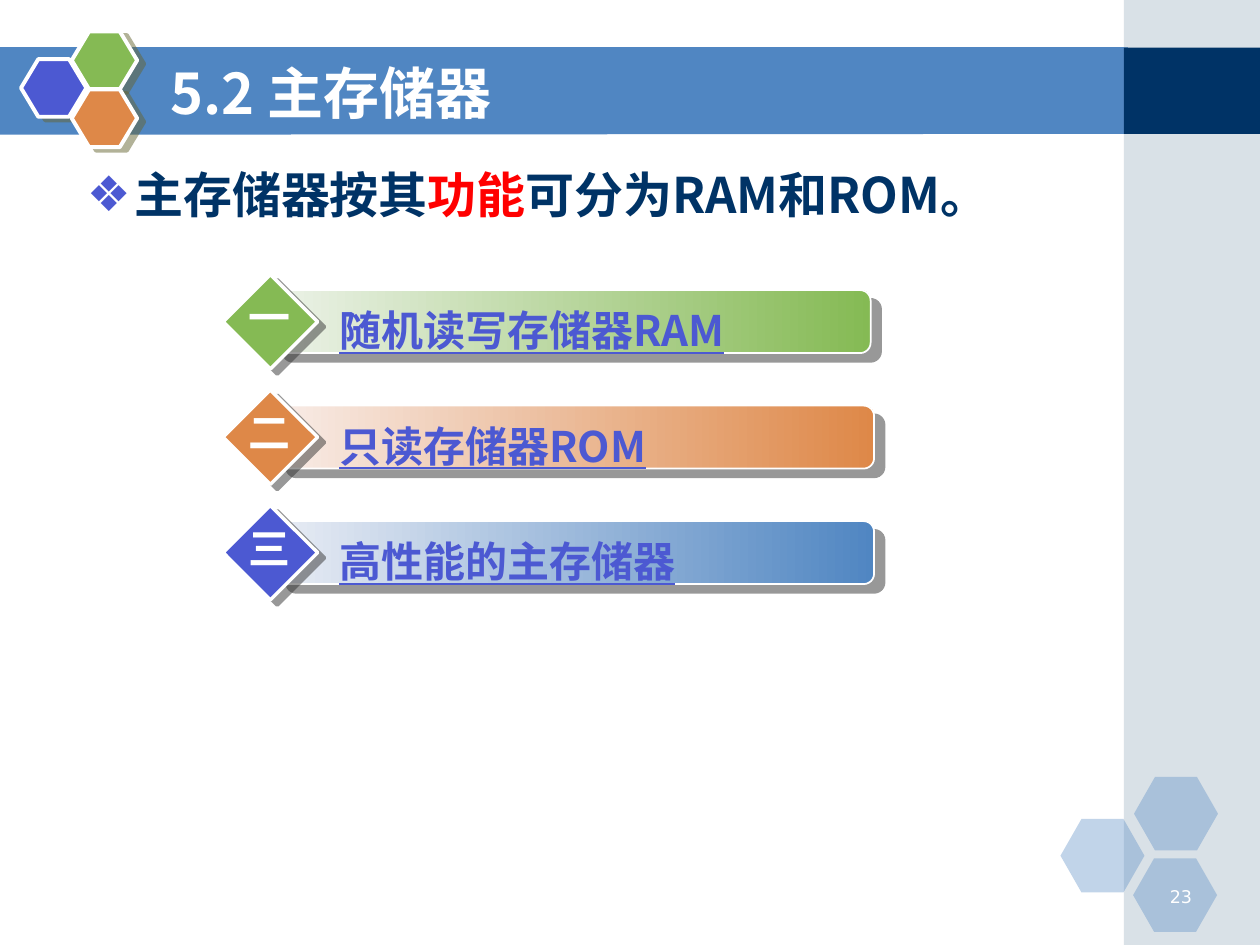
from dataclasses import dataclass

from lxml.etree import SubElement
from pptx import Presentation
from pptx.dml.color import RGBColor
from pptx.enum.shapes import MSO_SHAPE as SHAPE
from pptx.enum.text import MSO_ANCHOR as ANCHOR, MSO_AUTO_SIZE as FIT, PP_ALIGN as ALIGN
from pptx.oxml.ns import qn
from pptx.util import Pt


@dataclass(frozen=True)
class Theme:
    font: str = "Noto Sans CJK SC"
    number_font: str = "DejaVu Sans"
    title_size: float = 32
    body_size: float = 28
    label_size: float = 24
    number_size: float = 10
    white: str = "FFFFFF"
    navy: str = "003366"
    red: str = "FF0000"
    blue: str = "5086C2"
    violet: str = "4C59D2"
    green: str = "85BA54"
    orange: str = "DE8848"
    side: str = "A0B5C4"
    pale_green: str = "ECF2E8"
    pale_orange: str = "F8ECE7"
    pale_blue: str = "E8ECF4"
    # colour, distance in points, angle in degrees
    logo_shadow: tuple = ("666633", 4.5, 27)
    bar_shadow: tuple = ("333333", 7.8, 40)
    diamond_shadow: tuple = ("333333", 5, 37)


def rgb(color):
    return RGBColor.from_string(color)


def set_attrs(obj, values):
    for name, value in values.items():
        setattr(obj, name, value)


class SlideBuilder:
    def __init__(self, slide, theme):
        self.slide, self.theme = slide, theme

    def style(self, sp, fill, line=None, shadow=None, alpha=None):
        """Fill with a colour, or with a left-to-right gradient for a pair."""
        if isinstance(fill, tuple):
            sp.fill.gradient()
            sp.fill.gradient_angle = 0
            for stop, color, position in zip(sp.fill.gradient_stops, fill, (0, 1)):
                stop.color.rgb = rgb(color)
                stop.position = position
        else:
            sp.fill.solid()
            sp.fill.fore_color.rgb = rgb(fill)
        if alpha:
            color = sp._element.spPr.find(".//" + qn("a:srgbClr"))
            SubElement(color, qn("a:alpha"), val=str(alpha * 1000))
        if line:
            sp.line.color.rgb = rgb(self.theme.white)
            sp.line.width = Pt(line)
        else:
            sp.line.fill.background()
        sp.shadow.inherit = False
        if shadow:
            self.cast_shadow(sp, *shadow)

    def cast_shadow(self, sp, color, distance, angle):
        effects = sp._element.spPr.find(qn("a:effectLst"))
        outer = SubElement(effects, qn("a:outerShdw"), blurRad="0", dist=str(Pt(distance)),
                           dir=str(angle * 60000), algn="ctr", rotWithShape="0")
        clr = SubElement(outer, qn("a:srgbClr"), val=color)
        SubElement(clr, qn("a:alpha"), val="50000")

    def shape(self, kind, box, fill, adj=None, **look):
        sp = self.slide.shapes.add_shape(kind, *map(Pt, box))
        if adj is not None:
            sp.adjustments[0] = adj
        self.style(sp, fill, **look)

    def band(self, points, fill):
        start, *rest = [(Pt(x), Pt(y)) for x, y in points]
        builder = self.slide.shapes.build_freeform(*start)
        builder.add_line_segments(rest, close=True)
        self.style(builder.convert_to_shape(), fill)

    def add_runs(self, p, runs, size, font=None, **fmt):
        """Add (text, colour) runs to a paragraph."""
        font = font or self.theme.font
        for text, color in runs:
            r = p.add_run()
            r.text = text
            set_attrs(r.font, {"name": font, "size": Pt(size), **fmt})
            r.font.color.rgb = rgb(color)
            SubElement(r._r.get_or_add_rPr(), qn("a:ea"), typeface=font)

    def text(self, box, text, color, size, align=ALIGN.LEFT, wrap=True, indent=0,
             fit=FIT.NONE, **fmt):
        tf = self.slide.shapes.add_textbox(*map(Pt, box)).text_frame
        set_attrs(tf, {"word_wrap": wrap, "auto_size": fit})
        p = tf.paragraphs[0]
        p.alignment = align
        if indent:
            p._p.get_or_add_pPr().set("marL", str(Pt(indent)))
        self.add_runs(p, [(text, color)], size, **fmt)

    def placeholder(self, sp, box, anchor):
        """Move a placeholder in front of the shapes so far; return its paragraph."""
        set_attrs(sp, dict(zip(("left", "top", "width", "height"), map(Pt, box))))
        set_attrs(sp.text_frame, {"vertical_anchor": anchor, "auto_size": FIT.NONE,
                                  "word_wrap": True})
        self.slide.shapes._spTree.append(sp._element)
        p = sp.text_frame.paragraphs[0]
        p.alignment = ALIGN.LEFT
        return p

    def title(self, box, text):
        p = self.placeholder(self.slide.shapes.title, box, ANCHOR.MIDDLE)
        self.add_runs(p, [(text, self.theme.white)], self.theme.title_size, bold=True)

    def bullet(self, box, runs, hang=27):
        p = self.placeholder(self.slide.placeholders[1], box, ANCHOR.TOP)
        size = self.theme.body_size
        set_attrs(p, {"line_spacing": 0.9, "space_before": Pt(size * 0.2)})
        pPr = p._p.get_or_add_pPr()
        pPr.set("marL", str(Pt(hang)))
        pPr.set("indent", str(-Pt(hang)))
        clr = SubElement(pPr, qn("a:buClr"))
        SubElement(clr, qn("a:srgbClr"), val=self.theme.violet)
        SubElement(pPr, qn("a:buChar"), char="❖")
        self.add_runs(p, runs, size, bold=True)

    def item(self, top, bar_left, numeral, label, color, gradient):
        t = self.theme
        fmt = {"size": t.label_size, "bold": True, "fit": FIT.SHAPE_TO_FIT_TEXT}
        self.shape(SHAPE.ROUNDED_RECTANGLE, (bar_left, top + 9, 342, 36), gradient,
                   line=1, shadow=t.bar_shadow)
        self.text((175.7, top + 13.7, 309.6, 36), label, t.violet, indent=11,
                  underline=True, **fmt)
        self.shape(SHAPE.DIAMOND, (127.5, top, 54, 54), color,
                   line=2, shadow=t.diamond_shadow)
        self.text((134.6, top + 6.1, 38.9, 36), numeral, t.white, align=ALIGN.CENTER,
                  wrap=False, **fmt)


def main():
    prs = Presentation()
    prs.slide_width, prs.slide_height = Pt(720), Pt(540)
    t = Theme()
    s = SlideBuilder(prs.slides.add_slide(prs.slide_layouts[1]), t)

    s.band([(-0.5, 27), (644.5, 27), (644.5, 76.5), (-0.5, 77)], t.blue)
    s.shape(SHAPE.RECTANGLE, (642.2, 0, 77.8, 540), t.side, alpha=40)
    s.shape(SHAPE.RECTANGLE, (642.2, 27.3, 77.8, 49.2), t.navy)
    for left, top in ((606, 468), (648, 444), (647.5, 490.5)):
        s.shape(SHAPE.HEXAGON, (left, top, 48, 42), t.blue, adj=0.286, alpha=35)
    for left, top, color in ((12, 33.8, t.violet), (41, 18, t.green), (41, 51.1, t.orange)):
        s.shape(SHAPE.HEXAGON, (left, top, 37.4, 33), color, adj=0.3,
                line=2.25, shadow=t.logo_shadow)

    s.text((652.3, 502.6, 36, 18), "23", t.white, t.number_size, align=ALIGN.RIGHT,
           font=t.number_font)
    s.title((90, 30.2, 528, 44.6), "5.2 主存储器")
    s.bullet((42.5, 94.3, 584, 51), [("主存储器按其", t.navy), ("功能", t.red),
                                     ("可分为RAM和ROM。", t.navy)])

    items = [
        (155.5, "一", "随机读写存储器RAM", t.green, (t.pale_green, t.green)),
        (157.5, "二", "只读存储器ROM", t.orange, (t.pale_orange, t.orange)),
        (157.5, "三", "高性能的主存储器", t.violet, (t.pale_blue, t.blue)),
    ]
    for i, item in enumerate(items):
        s.item(156.8 + 66 * i, *item)

    prs.save("out.pptx")


if __name__ == "__main__":
    main()
